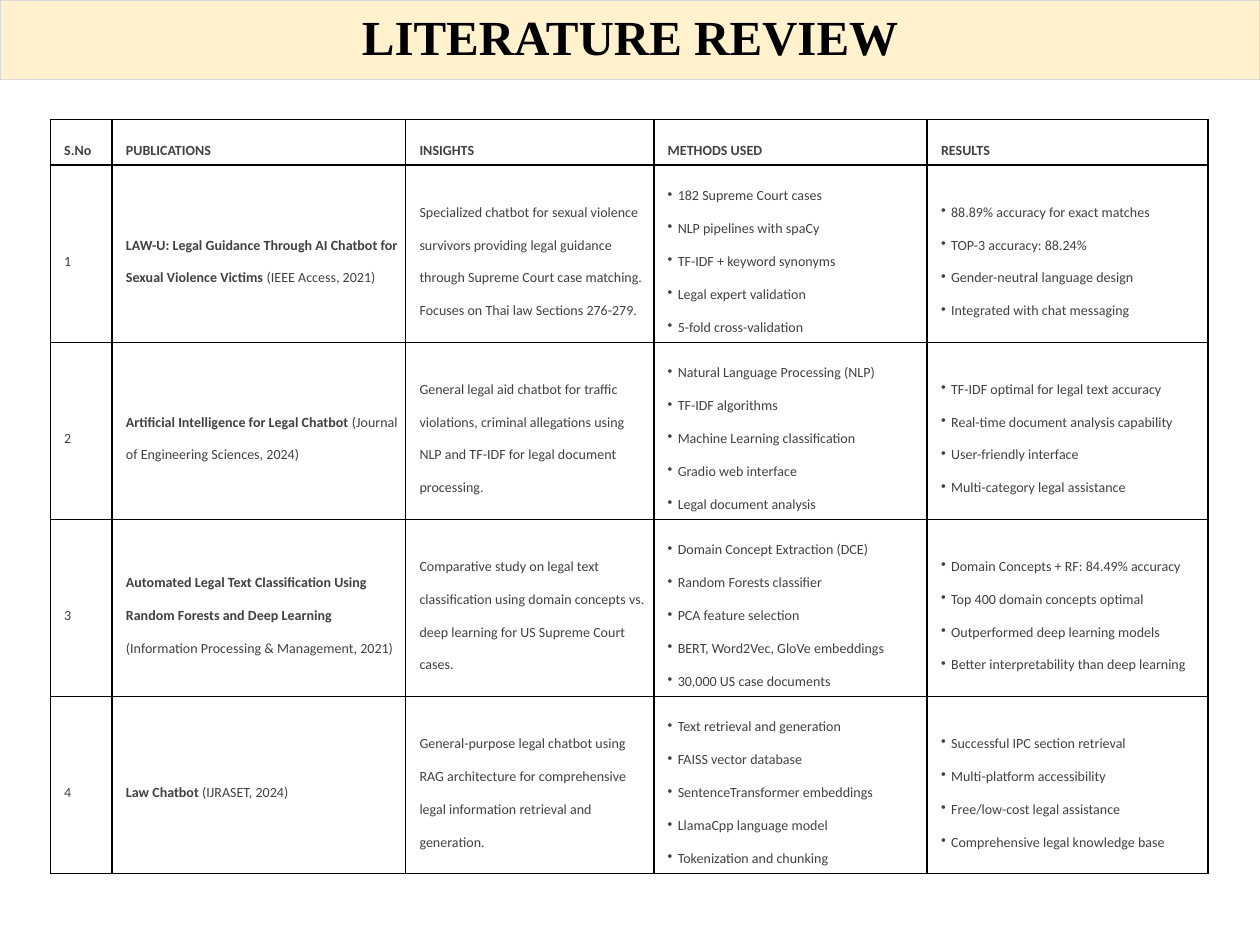
from lxml import etree
from pptx import Presentation
from pptx.dml.color import RGBColor
from pptx.enum.text import MSO_ANCHOR, MSO_AUTO_SIZE, PP_ALIGN
from pptx.oxml.ns import qn
from pptx.util import Inches, Pt

MIDDLE = MSO_ANCHOR.MIDDLE
CENTER = PP_ALIGN.CENTER
NO_AUTOFIT = MSO_AUTO_SIZE.NONE

COLORS = {
    "banner": "FFF2CC",
    "banner_line": "D9D9D9",
    "title": "000000",
    "text": "404040",
    "border": "000000",
}
TITLE = "LITERATURE REVIEW"
HEADERS = ["S.No", "PUBLICATIONS", "INSIGHTS", "METHODS USED", "RESULTS"]
STUDIES = [
    {
        "paper": "LAW-U: Legal Guidance Through AI Chatbot for Sexual Violence Victims",
        "venue": "(IEEE Access, 2021)",
        "insight": "Specialized chatbot for sexual violence survivors providing legal guidance "
                   "through Supreme Court case matching. Focuses on Thai law Sections 276-279.",
        "methods": ["182 Supreme Court cases", "NLP pipelines with spaCy",
                    "TF-IDF + keyword synonyms", "Legal expert validation",
                    "5-fold cross-validation"],
        "results": ["88.89% accuracy for exact matches", "TOP-3 accuracy: 88.24%",
                    "Gender-neutral language design", "Integrated with chat messaging"],
    },
    {
        "paper": "Artificial Intelligence for Legal Chatbot",
        "venue": "(Journal of Engineering Sciences, 2024)",
        "insight": "General legal aid chatbot for traffic violations, criminal allegations "
                   "using NLP and TF-IDF for legal document processing.",
        "methods": ["Natural Language Processing (NLP)", "TF-IDF algorithms",
                    "Machine Learning classification", "Gradio web interface",
                    "Legal document analysis"],
        "results": ["TF-IDF optimal for legal text accuracy",
                    "Real-time document analysis capability",
                    "User-friendly interface", "Multi-category legal assistance"],
    },
    {
        "paper": "Automated Legal Text Classification Using Random Forests and Deep Learning",
        "venue": "(Information Processing & Management, 2021)",
        "insight": "Comparative study on legal text classification using domain concepts vs. "
                   "deep learning for US Supreme Court cases.",
        "methods": ["Domain Concept Extraction (DCE)", "Random Forests classifier",
                    "PCA feature selection", "BERT, Word2Vec, GloVe embeddings",
                    "30,000 US case documents"],
        "results": ["Domain Concepts + RF: 84.49% accuracy",
                    "Top 400 domain concepts optimal",
                    "Outperformed deep learning models",
                    "Better interpretability than deep learning"],
    },
    {
        "paper": "Law Chatbot",
        "venue": "(IJRASET, 2024)",
        "insight": "General-purpose legal chatbot using RAG architecture for comprehensive "
                   "legal information retrieval and generation.",
        "methods": ["Text retrieval and generation", "FAISS vector database",
                    "SentenceTransformer embeddings", "LlamaCpp language model",
                    "Tokenization and chunking"],
        "results": ["Successful IPC section retrieval", "Multi-platform accessibility",
                    "Free/low-cost legal assistance",
                    "Comprehensive legal knowledge base"],
    },
]
COLUMN_WIDTHS = [0.49, 2.33, 1.97, 2.17, 2.23]
HEADER_HEIGHT, STUDY_HEIGHT = 0.31, 1.27
BULLET_INDENT = Inches(0.08)


def color(name):
    return RGBColor.from_string(COLORS[name])


def style_font(font, name, size, color_name, bold):
    font.name, font.size, font.bold = name, Pt(size), bold
    font.color.rgb = color(color_name)


def add_title(slide):
    title = slide.shapes.title
    title.left, title.top, title.width, title.height = 0, 0, Inches(10), Inches(0.63)
    title.fill.solid()
    title.fill.fore_color.rgb = color("banner")
    title.line.color.rgb = color("banner_line")
    title.line.width = Pt(0.75)
    frame = title.text_frame
    frame.text = TITLE
    frame.auto_size = NO_AUTOFIT
    frame.vertical_anchor = MIDDLE
    paragraph = frame.paragraphs[0]
    paragraph.alignment = CENTER
    paragraph.line_spacing = 0.9
    style_font(paragraph.runs[0].font, "Times New Roman", 28, "title", True)


def add_borders(cell):
    properties = cell._tc.get_or_add_tcPr()
    for side in ("lnL", "lnR", "lnT", "lnB"):
        line = etree.SubElement(properties, qn(f"a:{side}"), w=str(Pt(1)))
        fill = etree.SubElement(line, qn("a:solidFill"))
        etree.SubElement(fill, qn("a:srgbClr"), val=COLORS["border"])


def add_bullet(paragraph):
    properties = paragraph._p.get_or_add_pPr()
    properties.set("marL", str(BULLET_INDENT))
    properties.set("indent", str(-BULLET_INDENT))
    etree.SubElement(properties, qn("a:buChar"), char="•")


def fill_cell(cell, lines, bulleted=False):
    add_borders(cell)
    cell.fill.background()
    cell.vertical_anchor = MIDDLE
    cell.margin_left, cell.margin_right = Inches(0.11), Inches(0.03)
    cell.margin_top = cell.margin_bottom = Inches(0.05)
    frame = cell.text_frame
    for index, runs in enumerate(lines):
        paragraph = frame.add_paragraph() if index else frame.paragraphs[0]
        if bulleted:
            add_bullet(paragraph)
        paragraph.line_spacing = Pt(18.8)
        for text, bold in runs:
            run = paragraph.add_run()
            run.text = text
            style_font(run.font, "Calibri", 8, "text", bold)


def add_review_table(slide):
    row_heights = [HEADER_HEIGHT] + [STUDY_HEIGHT] * len(STUDIES)
    table = slide.shapes.add_table(
        len(row_heights), len(HEADERS), Inches(0.4), Inches(0.95),
        Inches(sum(COLUMN_WIDTHS)), Inches(sum(row_heights))).table
    table.first_row = table.horz_banding = False
    for column, width in zip(table.columns, COLUMN_WIDTHS):
        column.width = Inches(width)
    for row, height in zip(table.rows, row_heights):
        row.height = Inches(height)
    for column, header in enumerate(HEADERS):
        fill_cell(table.cell(0, column), [[(header, True)]])
    for number, study in enumerate(STUDIES, start=1):
        fill_cell(table.cell(number, 0), [[(str(number), False)]])
        fill_cell(table.cell(number, 1),
                  [[(study["paper"], True), (f" {study['venue']}", False)]])
        fill_cell(table.cell(number, 2), [[(study["insight"], False)]])
        for column, key in ((3, "methods"), (4, "results")):
            fill_cell(table.cell(number, column),
                      [[(item, False)] for item in study[key]], bulleted=True)


def main():
    presentation = Presentation()
    presentation.slide_width, presentation.slide_height = Inches(10), Inches(7.5)
    slide = presentation.slides.add_slide(presentation.slide_layouts[5])
    add_title(slide)
    add_review_table(slide)
    presentation.save("out.pptx")


if __name__ == "__main__":
    main()
